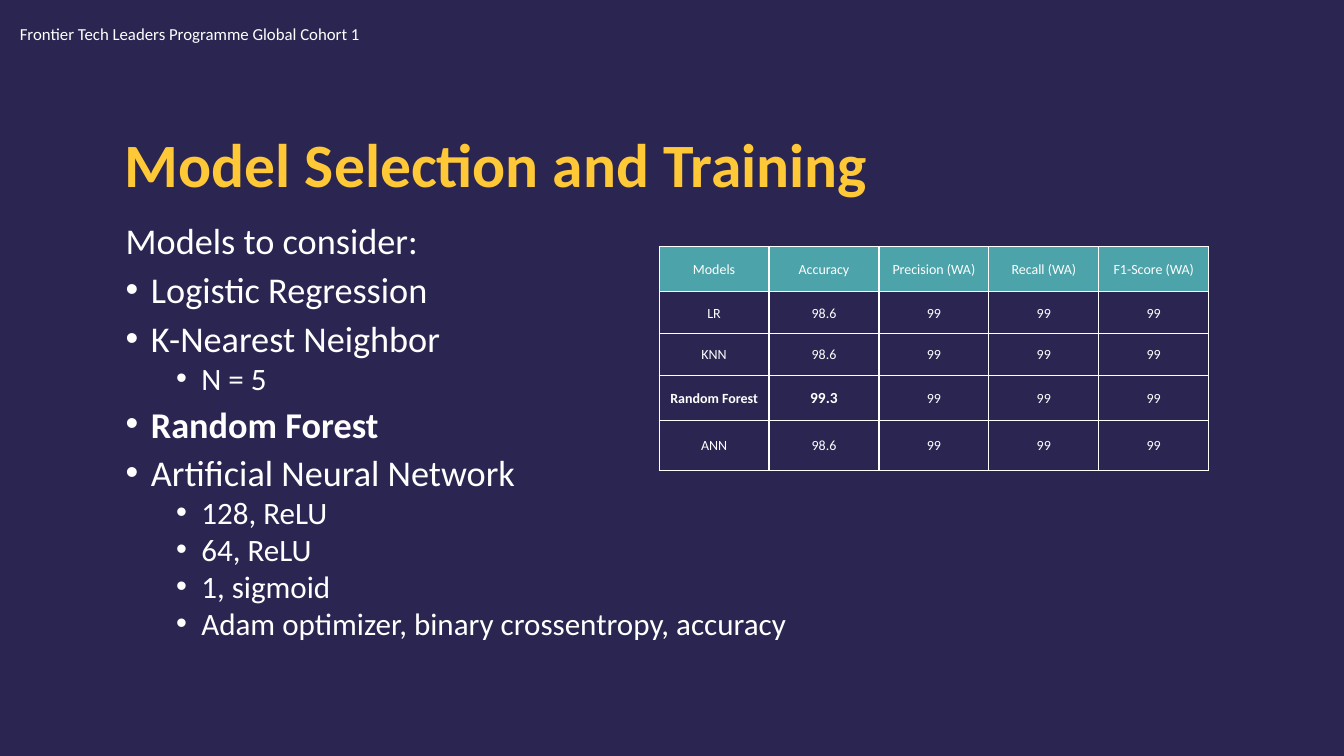
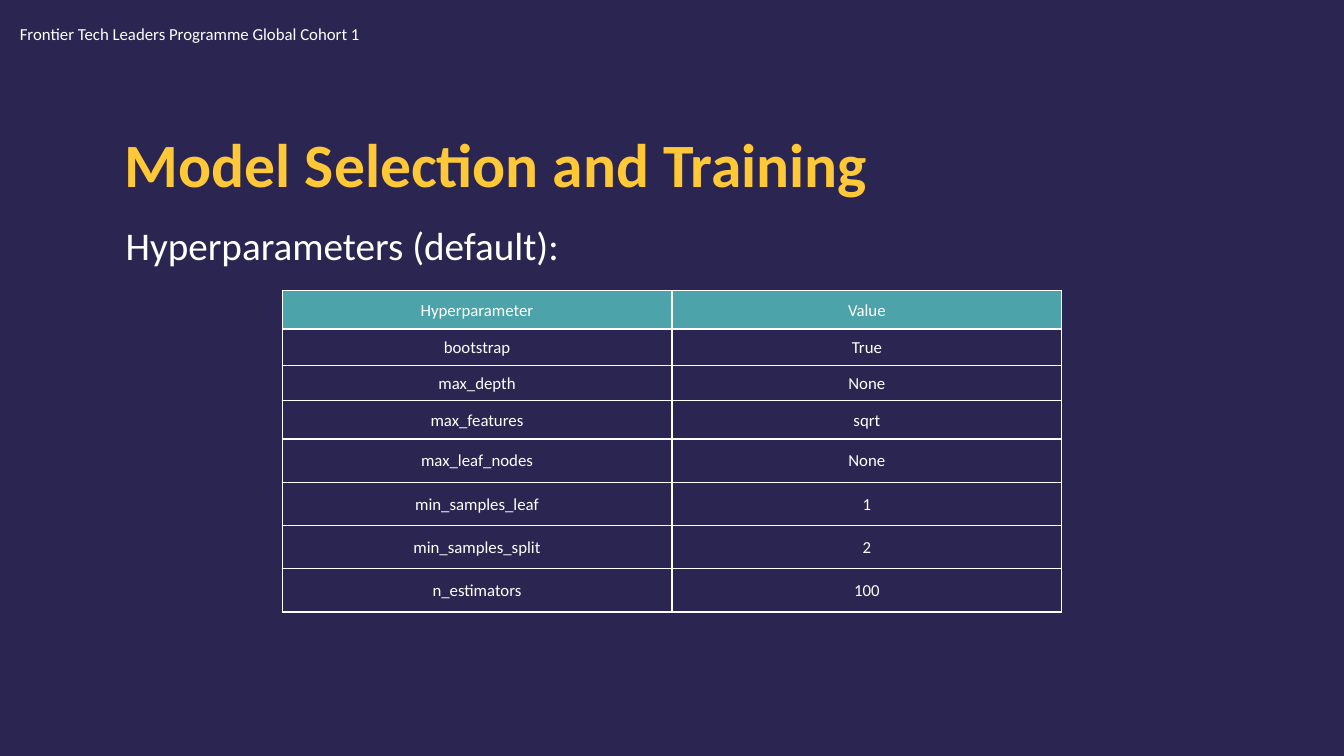
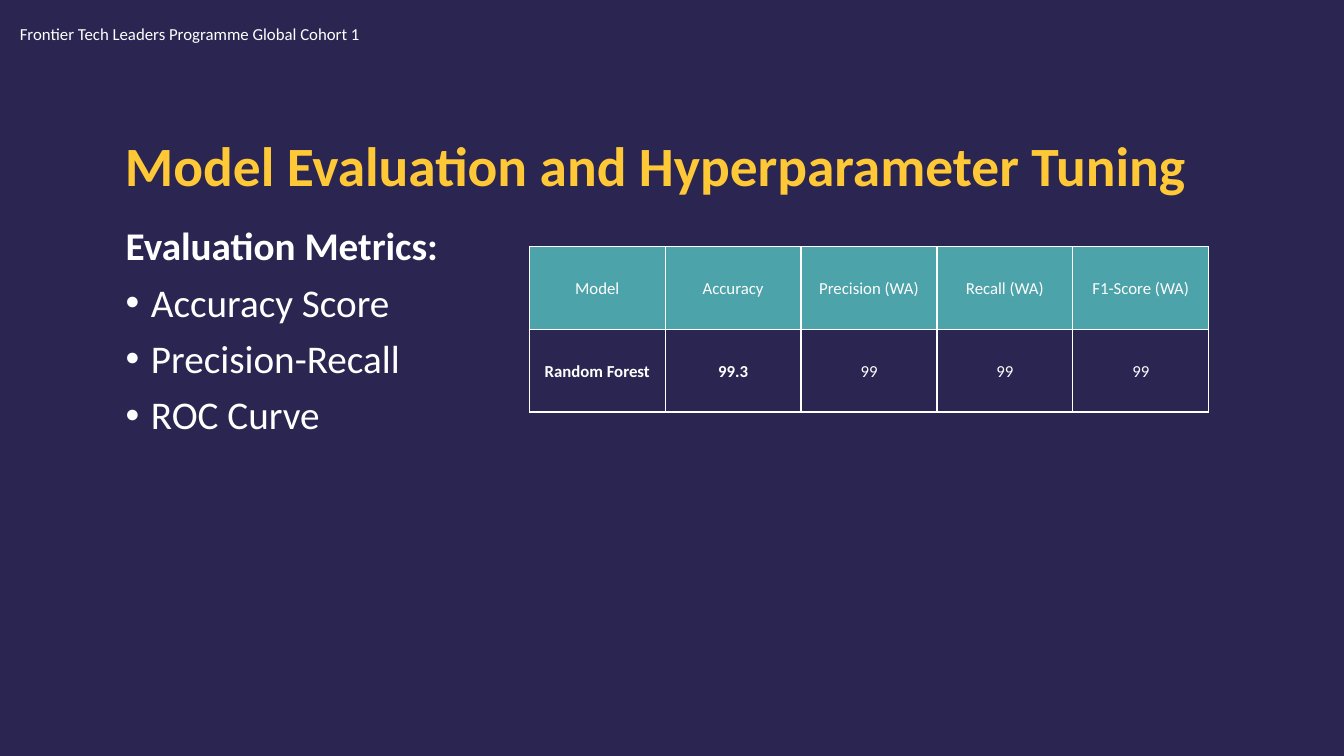
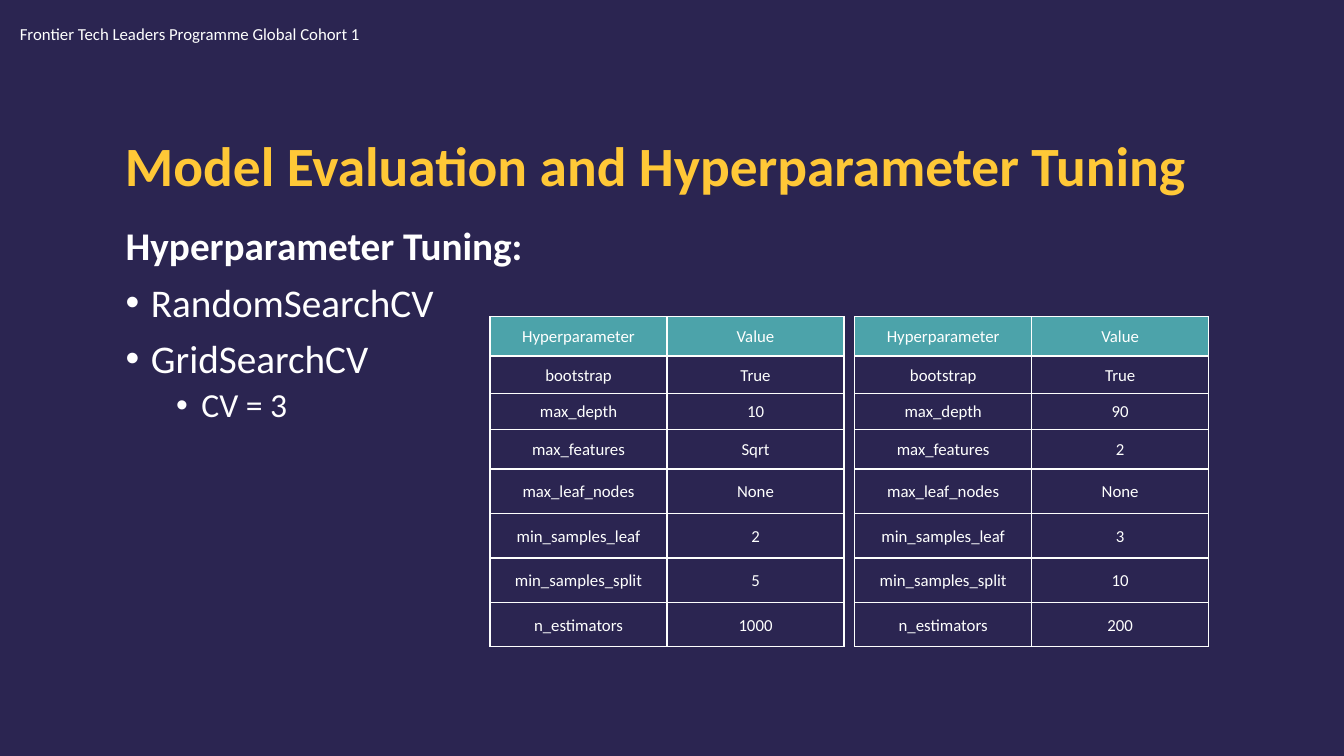
from dataclasses import dataclass

from lxml.etree import SubElement
from pptx import Presentation
from pptx.dml.color import RGBColor
from pptx.enum.text import MSO_ANCHOR, MSO_AUTO_SIZE, PP_ALIGN
from pptx.oxml.ns import qn
from pptx.slide import Slide
from pptx.text.text import TextFrame, _Paragraph
from pptx.util import Cm, Pt

# Shared look
NAVY = RGBColor(0x2B, 0x25, 0x51)
GOLD = RGBColor(0xFF, 0xC8, 0x37)
TEAL = RGBColor(0x4C, 0xA3, 0xAA)
WHITE = RGBColor(0xFF, 0xFF, 0xFF)
PALE = RGBColor(0xFE, 0xFF, 0xFE)
FACE = "Calibri"
BANNER = "Frontier Tech Leaders Programme Global Cohort 1"
EDGE = 30.46  # right edge of the side tables, cm
GAP = 0.27


@dataclass(frozen=True)
class Line:
    text: str
    level: int = 0  # 0 heading, 1 bullet, 2 sub-bullet
    bold: bool = False


@dataclass(frozen=True)
class Cell:
    text: str
    bold: bool = False
    size: float | None = None


@dataclass(frozen=True)
class Grid:
    left: float
    top: float
    width: float
    heights: list[float]
    rows: list[list[Cell]]
    size: float = 12


@dataclass(frozen=True)
class Page:
    title: str
    lines: list[Line]
    grids: list[Grid]
    head: float = 44
    size: float = 28
    sub: float = 24
    pitch: float = 0.9


def style(para: _Paragraph, size: float, color: RGBColor, bold: bool = False) -> None:
    font = para.font
    font.name, font.size, font.bold = FACE, Pt(size), bold
    font.color.rgb = color


def add_box(slide: Slide, left: float, top: float, width: float, height: float) -> TextFrame:
    box = slide.shapes.add_textbox(Cm(left), Cm(top), Cm(width), Cm(height))
    box.text_frame.word_wrap = True
    return box.text_frame


def add_bullet(para: _Paragraph, level: int) -> None:
    props = para._p.get_or_add_pPr()
    props.set("marL", str(Cm(1.27 * level - 0.635)))
    props.set("indent", str(-Cm(0.635)))
    SubElement(props, qn("a:buFont")).set("typeface", "Arial")
    SubElement(props, qn("a:buChar")).set("char", "•")


def add_title(slide: Slide, text: str, size: float) -> None:
    frame = add_box(slide, 2.9, 2.95, 28.09, 2.57)
    frame.vertical_anchor = MSO_ANCHOR.MIDDLE
    para = frame.paragraphs[0]
    para.text, para.line_spacing = text, 0.9
    style(para, size, GOLD, True)


def add_body(slide: Slide, page: Page) -> None:
    frame = add_box(slide, 2.92, 5.59, 28.04, 11.58)
    for i, line in enumerate(page.lines):
        para = frame.add_paragraph() if i else frame.paragraphs[0]
        deep = line.level == 2
        para.text, para.line_spacing = line.text, page.pitch
        para.space_before = Pt(5 if deep else 10)
        if line.level:
            add_bullet(para, line.level)
        style(para, page.sub if deep else page.size, WHITE, line.bold)


def add_banner(slide: Slide) -> None:
    frame = add_box(slide, 0.25, 0.48, 14.07, 0.76)
    frame.auto_size = MSO_AUTO_SIZE.SHAPE_TO_FIT_TEXT
    para = frame.paragraphs[0]
    para.text = BANNER
    style(para, 12, PALE)


def add_grid(slide: Slide, grid: Grid) -> None:
    count = len(grid.rows[0])
    table = slide.shapes.add_table(
        len(grid.rows), count, Cm(grid.left), Cm(grid.top),
        Cm(grid.width), Cm(sum(grid.heights))).table
    table.first_row = table.horz_banding = False
    for col in table.columns:
        col.width = Cm(grid.width / count)
    for r, (row, height) in enumerate(zip(grid.rows, grid.heights)):
        table.rows[r].height = Cm(height)
        for c, item in enumerate(row):
            cell = table.cell(r, c)
            cell.margin_left = cell.margin_right = Cm(0.19)
            cell.margin_top = cell.margin_bottom = 0
            cell.vertical_anchor = MSO_ANCHOR.MIDDLE
            para = cell.text_frame.paragraphs[0]
            para.text, para.line_spacing = item.text, 1.07
            para.alignment = PP_ALIGN.CENTER
            style(para, item.size or grid.size, PALE, item.bold)
            # Borders come before the fill in the cell properties
            props = cell._tc.get_or_add_tcPr()
            for side in ("lnL", "lnR", "lnT", "lnB"):
                edge = SubElement(props, qn(f"a:{side}"), w=str(Pt(1)))
                fill = SubElement(edge, qn("a:solidFill"))
                SubElement(fill, qn("a:srgbClr"), val=str(PALE))
            if r:
                cell.fill.background()
            else:
                cell.fill.solid()
                cell.fill.fore_color.rgb = TEAL


# Table contents
def cells(*texts: str) -> list[Cell]:
    return [Cell(text) for text in texts]


def params(*values: str) -> list[list[Cell]]:
    names = ("bootstrap", "max_depth", "max_features", "max_leaf_nodes",
             "min_samples_leaf", "min_samples_split", "n_estimators")
    return [cells("Hyperparameter", "Value"), *map(cells, names, values)]


def best(size: float) -> list[Cell]:
    return [Cell("Random Forest", True), Cell("99.3", True, size), *SCORES]


SCORES = cells("99", "99", "99")
METRICS = ("Accuracy", "Precision (WA)", "Recall (WA)", "F1-Score (WA)")
TUNED = [0.99, 0.94, 0.92, 0.99] + [1.12] * 4
WIDE = 8.92
CHOICE = "Model Selection and Training"
TUNING = "Model Evaluation and Hyperparameter Tuning"

PAGES = [
    Page(CHOICE, [
        Line("Models to consider:"),
        Line("Logistic Regression", 1),
        Line("K-Nearest Neighbor", 1),
        Line("N = 5", 2),
        Line("Random Forest", 1, True),
        Line("Artificial Neural Network", 1),
        Line("128, ReLU", 2),
        Line("64, ReLU", 2),
        Line("1, sigmoid", 2),
        Line("Adam optimizer, binary crossentropy, accuracy", 2),
    ], [
        Grid(EDGE - 13.85, 6.22, 13.85, [1.13, 1.06, 1.05, 1.13, 1.27], [
            cells("Models", *METRICS),
            cells("LR", "98.6") + SCORES,
            cells("KNN", "98.6") + SCORES,
            best(11),
            cells("ANN", "98.6") + SCORES,
        ], 10),
    ], size=25.9, sub=22.2, pitch=0.8),
    Page(CHOICE, [Line("Hyperparameters (default):")], [
        Grid(7.11, 7.32, 19.65, [0.97, 0.91, 0.89, 0.97] + [1.09] * 4,
             params("True", "None", "sqrt", "None", "1", "2", "100")),
    ]),
    Page(TUNING, [
        Line("Evaluation Metrics:", bold=True),
        Line("Accuracy Score", 1),
        Line("Precision-Recall", 1),
        Line("ROC Curve", 1),
    ], [
        Grid(EDGE - 17.12, 6.22, 17.12, [2.08] * 2,
             [cells("Model", *METRICS), best(12)]),
    ], head=39.6),
    Page(TUNING, [
        Line("Hyperparameter Tuning:", bold=True),
        Line("RandomSearchCV", 1),
        Line("GridSearchCV", 1),
        Line("CV = 3", 2),
    ], [
        Grid(EDGE - WIDE, 7.98, WIDE, TUNED,
             params("True", "90", "2", "None", "3", "10", "200")),
        Grid(EDGE - 2 * WIDE - GAP, 7.98, WIDE, TUNED,
             params("True", "10", "Sqrt", "None", "2", "5", "1000")),
    ], head=39.6),
]


def main() -> None:
    deck = Presentation()
    deck.slide_width, deck.slide_height = Cm(33.87), Cm(19.05)
    back = deck.slide_master.background.fill
    back.solid()
    back.fore_color.rgb = NAVY
    for page in PAGES:
        slide = deck.slides.add_slide(deck.slide_layouts[6])
        add_title(slide, page.title, page.head)
        add_body(slide, page)
        add_banner(slide)
        for grid in page.grids:
            add_grid(slide, grid)
    deck.save("out.pptx")


if __name__ == "__main__":
    main()
